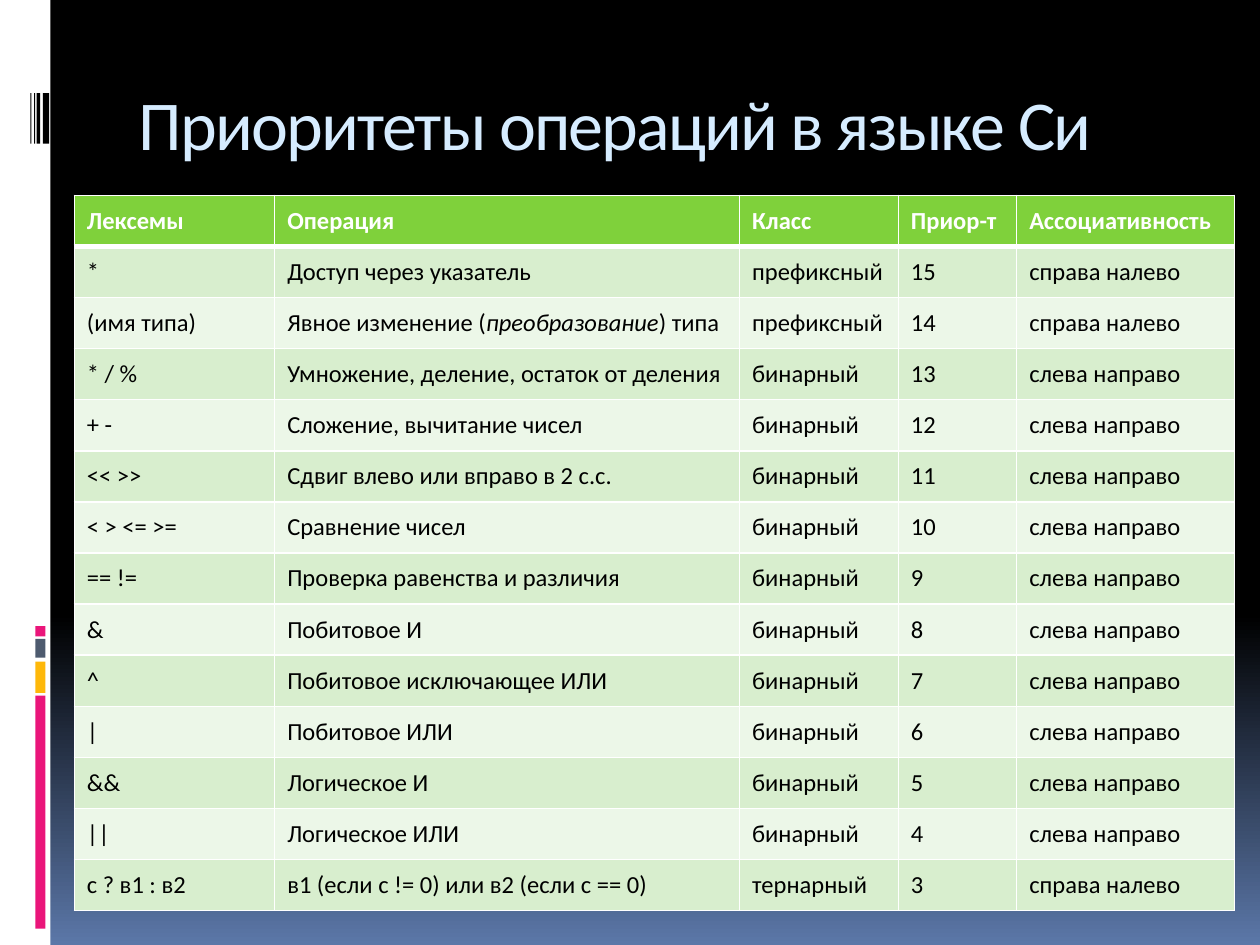
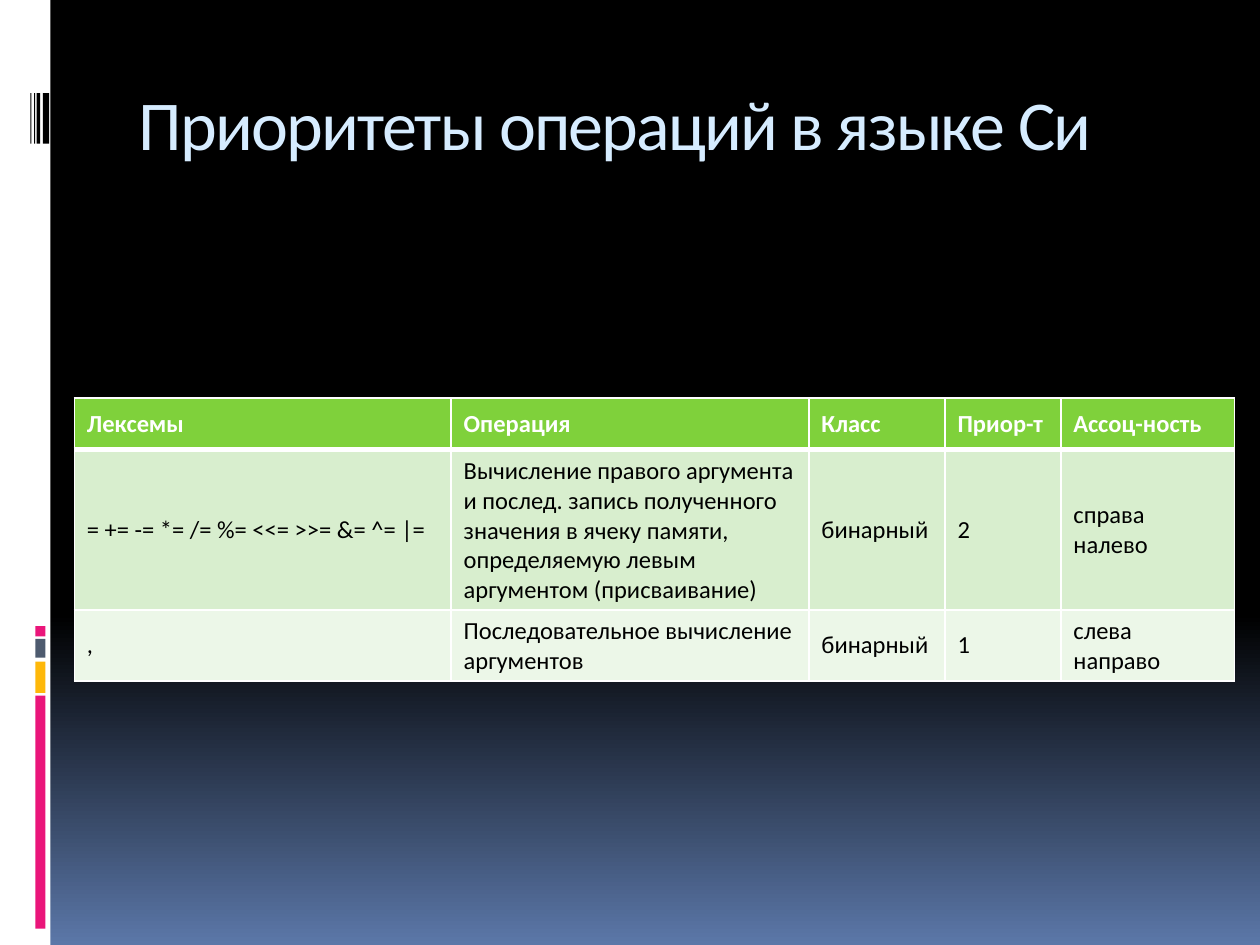
from copy import deepcopy

from lxml import etree
from pptx import Presentation
from pptx import util as u
from pptx.dml.color import RGBColor
from pptx.enum import shapes, text
from pptx.oxml import ns

COLORS = {
    "white": "FFFFFF", "black": "000000", "title": "D6ECFF", "sky": "5B77A8",
    "pink": "EA157A", "amber": "FEB80A", "slate": "4E5B6F",
    "header": "7FD13B", "odd": "D8EECE", "even": "ECF7E8",
}
FONT = "Calibri"
TITLE = "Приоритеты операций в языке Си"
BINARY, PREFIX, TERNARY = "бинарный", "префиксный", "тернарный"
TO_RIGHT, TO_LEFT = "слева направо", "справа налево"

# Underscores enclose italic words
OPERATIONS = [
    ("Лексемы", "Операция", "Класс", "Приор-т", "Ассоциативность"),
    ("*", "Доступ через указатель", PREFIX, "15", TO_LEFT),
    ("(имя типа)", "Явное изменение (_преобразование_) типа", PREFIX, "14", TO_LEFT),
    ("* / %", "Умножение, деление, остаток от деления", BINARY, "13", TO_RIGHT),
    ("+ -", "Сложение, вычитание чисел", BINARY, "12", TO_RIGHT),
    ("<< >>", "Сдвиг влево или вправо в 2 с.с.", BINARY, "11", TO_RIGHT),
    ("< > <= >=", "Сравнение чисел", BINARY, "10", TO_RIGHT),
    ("== !=", "Проверка равенства и различия", BINARY, "9", TO_RIGHT),
    ("&", "Побитовое И", BINARY, "8", TO_RIGHT),
    ("^", "Побитовое исключающее ИЛИ", BINARY, "7", TO_RIGHT),
    ("|", "Побитовое ИЛИ", BINARY, "6", TO_RIGHT),
    ("&&", "Логическое И", BINARY, "5", TO_RIGHT),
    ("||", "Логическое ИЛИ", BINARY, "4", TO_RIGHT),
    ("с ? в1 : в2", "в1 (если с != 0) или в2 (если с == 0)", TERNARY, "3", TO_LEFT),
]
ASSIGNMENTS = [
    ("Лексемы", "Операция", "Класс", "Приор-т", "Ассоц-ность"),
    ("= += -= *= /= %= <<= >>= &= ^= |=",
     "Вычисление правого аргумента и послед. запись полученного значения "
     "в ячеку памяти, определяемую левым аргументом (присваивание)",
     BINARY, "2", TO_LEFT),
    (",", "Последовательное вычисление аргументов", BINARY, "1", TO_RIGHT),
]


def rgb(name):
    return RGBColor.from_string(COLORS[name])


def write(frame, words, size=14, color="black", bold=False, spacing=None):
    """Fill a text frame, setting parts between underscores in italics."""
    para = frame.paragraphs[0]
    for index, part in enumerate(words.split("_")):
        span = para.add_run()
        span.text = part
        span.font.name, span.font.size = FONT, u.Pt(size)
        span.font.bold, span.font.italic = bold, index % 2 == 1
        span.font.color.rgb = rgb(color)
        if spacing is not None:
            span.font._element.set("spc", str(round(spacing * 100)))


class Builder:
    def __init__(self):
        self.deck = Presentation()
        self.deck.slide_width, self.deck.slide_height = u.Inches(10), u.Inches(7.5)
        self.page = None

    def new_page(self, title):
        self.page = self.deck.slides.add_slide(self.deck.slide_layouts[6])
        self.background()
        self.side_band()
        self.title(title)

    def background(self):
        fill = self.page.background.fill
        fill.gradient()
        fill.gradient_angle = 270
        stop_list = next(self.page.element.iter(ns.qn("a:gsLst")))
        stop_list.append(deepcopy(stop_list[0]))
        stops = [(0, "black"), (0.65, "black"), (1, "sky")]
        for stop, (position, color) in zip(fill.gradient_stops, stops):
            stop.position = position
            stop.color.rgb = rgb(color)

    def bar(self, left, top, width, height, color):
        box = self.page.shapes.add_shape(
            shapes.MSO_SHAPE.RECTANGLE, *map(u.Inches, (left, top, width, height)))
        box.shadow.inherit = False
        box.fill.solid()
        box.fill.fore_color.rgb = rgb(color)
        box.line.fill.background()

    def side_band(self):
        self.bar(0, 0, 0.4, 7.5, "white")
        # Coloured column
        for top, height, color in [(5.52, 1.85, "pink"), (5.25, 0.25, "amber"),
                                   (5.07, 0.15, "slate"), (4.97, 0.08, "pink")]:
            self.bar(0.28, top, 0.08, height, color)
        # Black stripes
        for left, width in [(0.34, 0.05), (0.29, 0.03), (0.27, 0.01), (0.24, 0.01)]:
            self.bar(left, 0.74, width, 0.4, "black")

    def title(self, words):
        box = self.page.shapes.add_textbox(*map(u.Inches, (1, 0.56, 8.5, 1)))
        frame = box.text_frame
        frame.word_wrap = True
        frame.margin_top = u.Inches(0.08)
        write(frame, words, size=40, color="title", spacing=-1)

    def borders(self, cell, top, bottom):
        properties = cell._tc.get_or_add_tcPr()
        for index, (side, width) in enumerate(
                [("L", 1), ("R", 1), ("T", top), ("B", bottom)]):
            line = etree.Element(ns.qn(f"a:ln{side}"), w=str(u.Pt(width)))
            fill = etree.SubElement(line, ns.qn("a:solidFill"))
            etree.SubElement(fill, ns.qn("a:srgbClr"), val=COLORS["white"])
            properties.insert(index, line)

    def table(self, top, widths, heights, rows):
        table = self.page.shapes.add_table(
            len(rows), len(widths), u.Inches(0.59), u.Inches(top),
            u.Inches(sum(widths)), u.Inches(sum(heights))).table
        for column, width in zip(table.columns, widths):
            column.width = u.Inches(width)
        for row, height in zip(table.rows, heights):
            row.height = u.Inches(height)
        for number, row in enumerate(rows):
            head = number == 0
            shade = "header" if head else "odd" if number % 2 else "even"
            for column, words in enumerate(row):
                cell = table.cell(number, column)
                cell.vertical_anchor = text.MSO_ANCHOR.MIDDLE
                cell.fill.solid()
                cell.fill.fore_color.rgb = rgb(shade)
                self.borders(cell, 3 if number == 1 else 1, 3 if head else 1)
                write(cell.text_frame, words, bold=head,
                      color="white" if head else "black")


def main():
    builder = Builder()

    # Slide 1: priorities 15 to 3
    builder.new_page(TITLE)
    builder.table(1.55, [1.59, 3.69, 1.26, 0.94, 1.73],
                  [5.68 / len(OPERATIONS)] * len(OPERATIONS), OPERATIONS)

    # Slide 2: priorities 2 and 1
    builder.new_page(TITLE)
    builder.table(3.16, [2.99, 2.84, 1.08, 0.92, 1.38], [0.41, 1.27, 0.56], ASSIGNMENTS)

    builder.deck.save("out.pptx")


if __name__ == "__main__":
    main()
